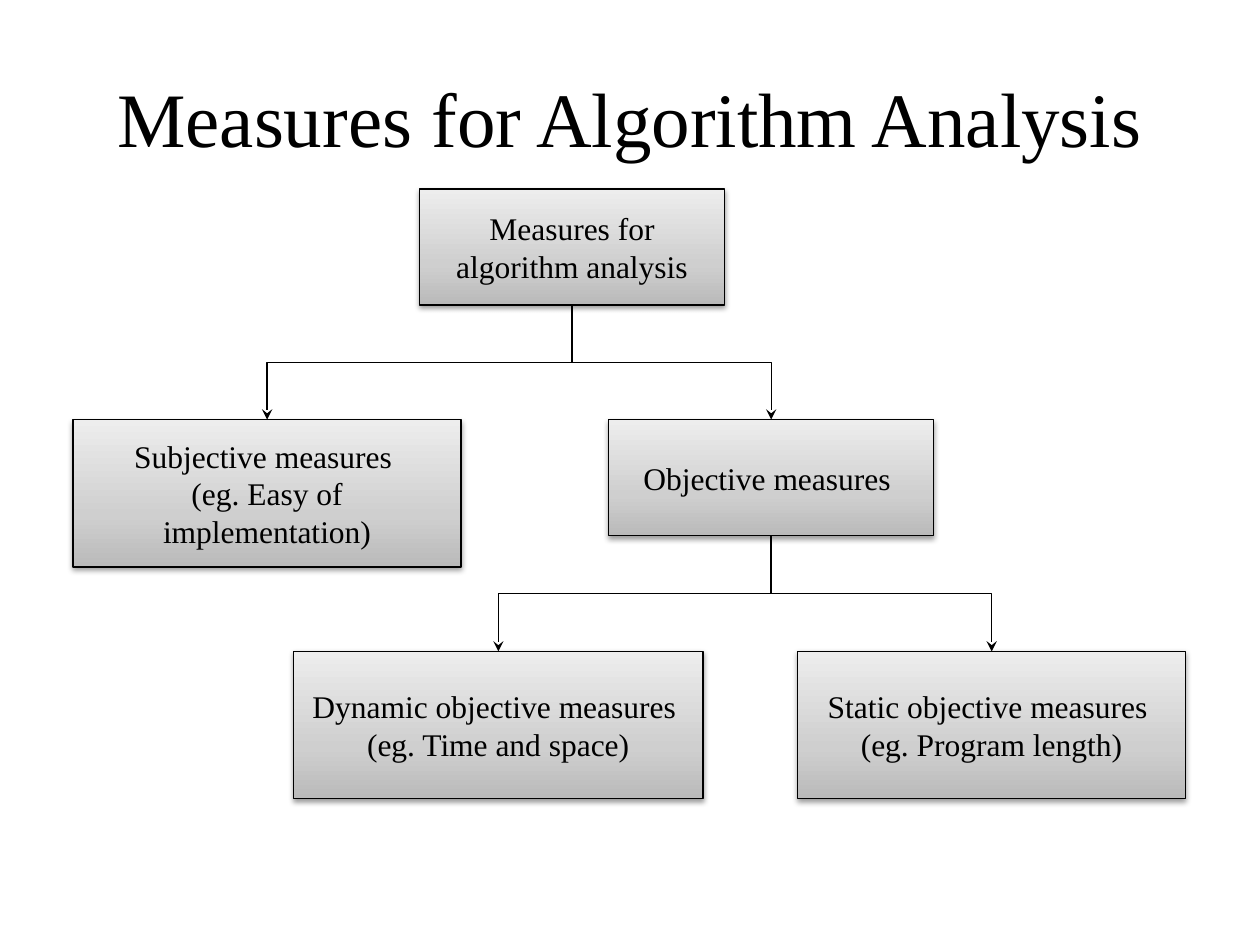
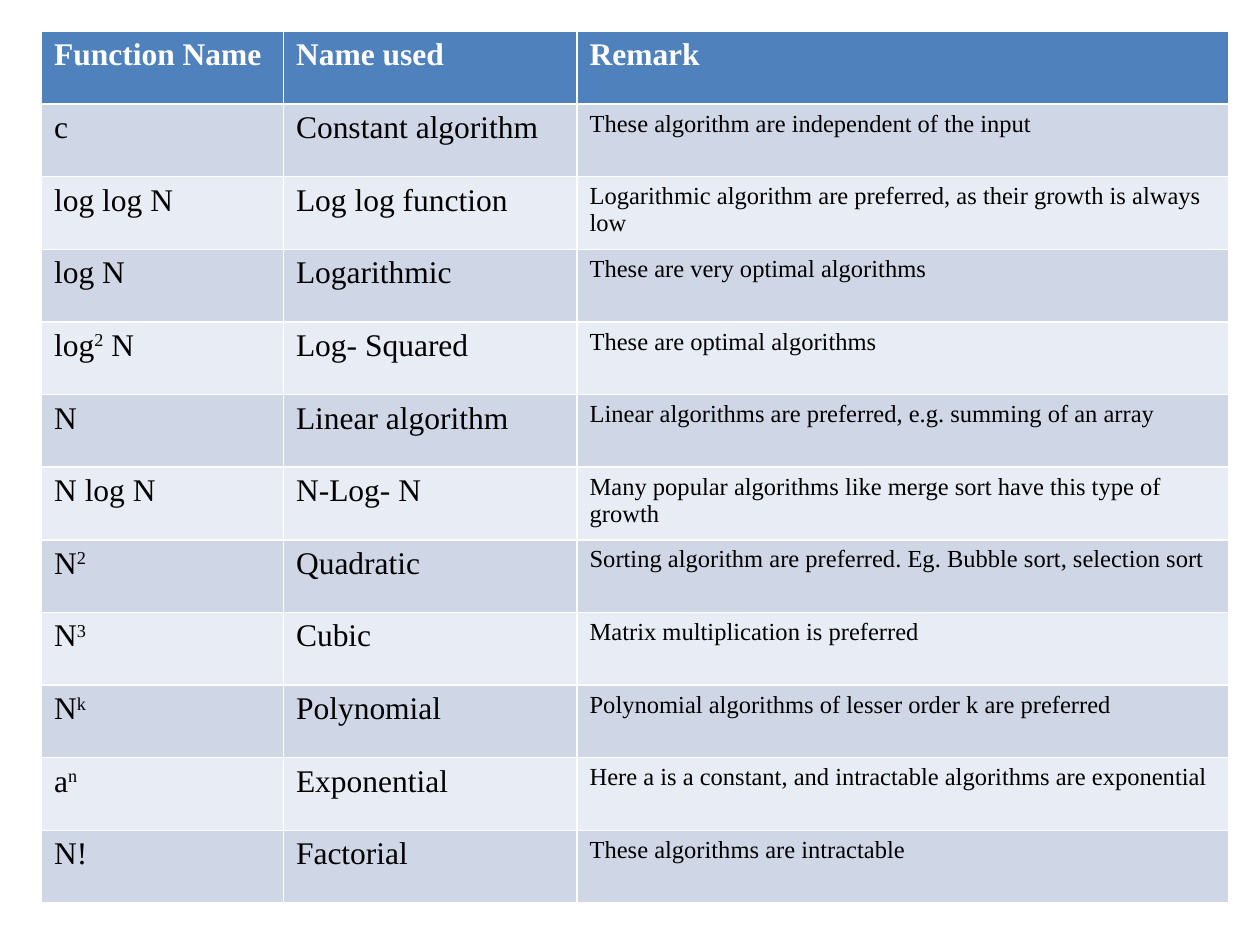
from pptx import Presentation
from pptx.dml.color import RGBColor
from pptx.enum.shapes import MSO_CONNECTOR, MSO_SHAPE
from pptx.enum.text import MSO_ANCHOR, PP_ALIGN
from pptx.oxml import parse_xml
from pptx.oxml.ns import nsdecls, qn
from pptx.util import Inches, Pt

RECT = MSO_SHAPE.RECTANGLE
ELBOW = MSO_CONNECTOR.ELBOW
MIDDLE = MSO_ANCHOR.MIDDLE
CENTER = PP_ALIGN.CENTER
BOTTOM, TOP = 2, 0

FONT = "Times New Roman"
BLACK, WHITE = "000000", "FFFFFF"
HEAD, DARK, LIGHT = "4F81BD", "CFD7E7", "E8ECF4"
SHADES = [(0, "BABABA"), (35, "CFCFCF"), (100, "EDEDED")]

NODES = {
    "root": (2.75, 0, 2.42, 0.92, "Measures for algorithm analysis"),
    "subj": (0, 1.83, 3.08, 1.17,
             "Subjective measures \n(eg. Easy of implementation)"),
    "obj": (4.25, 1.83, 2.58, 0.92, "Objective measures "),
    "dyn": (1.75, 3.67, 3.25, 1.17,
            "Dynamic objective measures \n(eg. Time and space)"),
    "stat": (5.75, 3.67, 3.08, 1.17,
             "Static objective measures \n(eg. Program length)"),
}
LINKS = [("root", "obj"), ("root", "subj"), ("obj", "stat"), ("obj", "dyn")]

ROWS = [
    ("Function Name", "Name used", "Remark"),
    ("c", "Constant algorithm", "These algorithm are independent of the input"),
    ("log log N", "Log log function",
     "Logarithmic algorithm are preferred, as their growth is always low"),
    ("log N", "Logarithmic", "These are very optimal algorithms"),
    ("log^2^ N", "Log- Squared", "These are optimal algorithms"),
    ("N", "Linear algorithm",
     "Linear algorithms are preferred, e.g. summing of an array"),
    ("N log N", "N-Log- N",
     "Many popular algorithms like merge sort have this type of growth"),
    ("N^2", "Quadratic",
     "Sorting algorithm are preferred. Eg. Bubble sort, selection sort"),
    ("N^3", "Cubic", "Matrix multiplication is preferred"),
    ("N^k", "Polynomial", "Polynomial algorithms of lesser order k are preferred"),
    ("a^n", "Exponential",
     "Here a is a constant, and intractable algorithms are exponential"),
    ("N!", "Factorial", "These algorithms are intractable"),
]
COLS = [1.92, 2.33, 5.17]


def color(code):
    return RGBColor.from_string(code)


def style(run, size, code=BLACK, bold=False):
    run.font.name = FONT
    run.font.size = Pt(size)
    run.font.bold = bold
    run.font.color.rgb = color(code)


def write(shape, text, size):
    frame = shape.text_frame
    frame.word_wrap = True
    frame.vertical_anchor = MIDDLE
    frame.text = text
    for para in frame.paragraphs:
        para.alignment = CENTER
        for run in para.runs:
            style(run, size)


def title(slide, text, left, top, width, height):
    box = slide.shapes.add_textbox(*map(Inches, (left, top, width, height)))
    write(box, text, 44)


def outline(shape):
    shape.line.color.rgb = color(BLACK)
    shape.line.width = Pt(0.75)


def node(slide, left, top, width, height, text):
    box = slide.shapes.add_shape(RECT, *map(Inches, (left, top, width, height)))
    outline(box)
    box.shadow.inherit = False
    props = box._element.spPr
    stops = "".join(
        f'<a:gs pos="{pos * 1000}"><a:srgbClr val="{code}"/></a:gs>'
        for pos, code in SHADES)
    props.insert(2, parse_xml(
        f'<a:gradFill {nsdecls("a")} rotWithShape="1"><a:gsLst>{stops}</a:gsLst>'
        '<a:lin ang="16200000" scaled="0"/></a:gradFill>'))
    props.find(qn("a:effectLst")).append(parse_xml(
        f'<a:outerShdw {nsdecls("a")} blurRad="40000" dist="20000" dir="5400000" '
        'rotWithShape="0"><a:srgbClr val="000000"><a:alpha val="38000"/>'
        '</a:srgbClr></a:outerShdw>'))
    write(box, text, 18)
    return box


def link(slide, start, end):
    x1, y1 = start.left + start.width // 2, start.top + start.height
    x2, y2 = end.left + end.width // 2, end.top
    line = slide.shapes.add_connector(ELBOW, x1, y1, x2, y2)
    line.begin_connect(start, BOTTOM)
    line.end_connect(end, TOP)
    outline(line)
    line.width, line.height = y2 - y1, abs(x2 - x1)
    line.left = (x1 + x2 - line.width) // 2
    line.top = (y1 + y2 - line.height) // 2
    right = x2 > x1
    props = line._element.spPr
    frame = props.find(qn("a:xfrm"))
    frame.set("rot", "16200000" if right else "5400000")
    frame.set("flipH", "1" if right else "0")
    frame.set("flipV", "0")
    props.find(qn("a:ln")).append(
        parse_xml(f'<a:tailEnd {nsdecls("a")} type="stealth"/>'))
    props.append(parse_xml(f'<a:effectLst {nsdecls("a")}/>'))


def tree(slide, left, top):
    boxes = {name: node(slide, left + x, top + y, width, height, text)
             for name, (x, y, width, height, text) in NODES.items()}
    for start, end in LINKS:
        link(slide, boxes[start], boxes[end])


def fill(cell, text, size, code, shade, bold):
    cell.fill.solid()
    cell.fill.fore_color.rgb = color(shade)
    para = cell.text_frame.paragraphs[0]
    for part, chunk in enumerate(text.split("^")):
        run = para.add_run()
        run.text = chunk
        style(run, size, code, bold)
        if part % 2:
            run.font._element.set("baseline", "30000")


def grid(slide, left, top, height):
    table = slide.shapes.add_table(
        len(ROWS), len(COLS), Inches(left), Inches(top),
        Inches(sum(COLS)), Inches(height)).table
    for col, width in zip(table.columns, COLS):
        col.width = Inches(width)
    for i, row in enumerate(ROWS):
        table.rows[i].height = Inches(height / len(ROWS))
        head = i == 0
        shade = HEAD if head else DARK if i % 2 else LIGHT
        for j, text in enumerate(row):
            size = 14 if j == 2 and not head else 18
            fill(table.cell(i, j), text, size, WHITE if head else BLACK, shade, head)


def main():
    deck = Presentation()
    deck.slide_width, deck.slide_height = Inches(10), Inches(7.5)
    blank = deck.slide_layouts[6]
    chart = deck.slides.add_slide(blank)
    title(chart, "Measures for Algorithm Analysis", 0.5, 0.3, 9, 1.25)
    tree(chart, 0.58, 1.5)
    grid(deck.slides.add_slide(blank), 0.33, 0.25, 6.92)
    deck.save("out.pptx")


if __name__ == "__main__":
    main()
